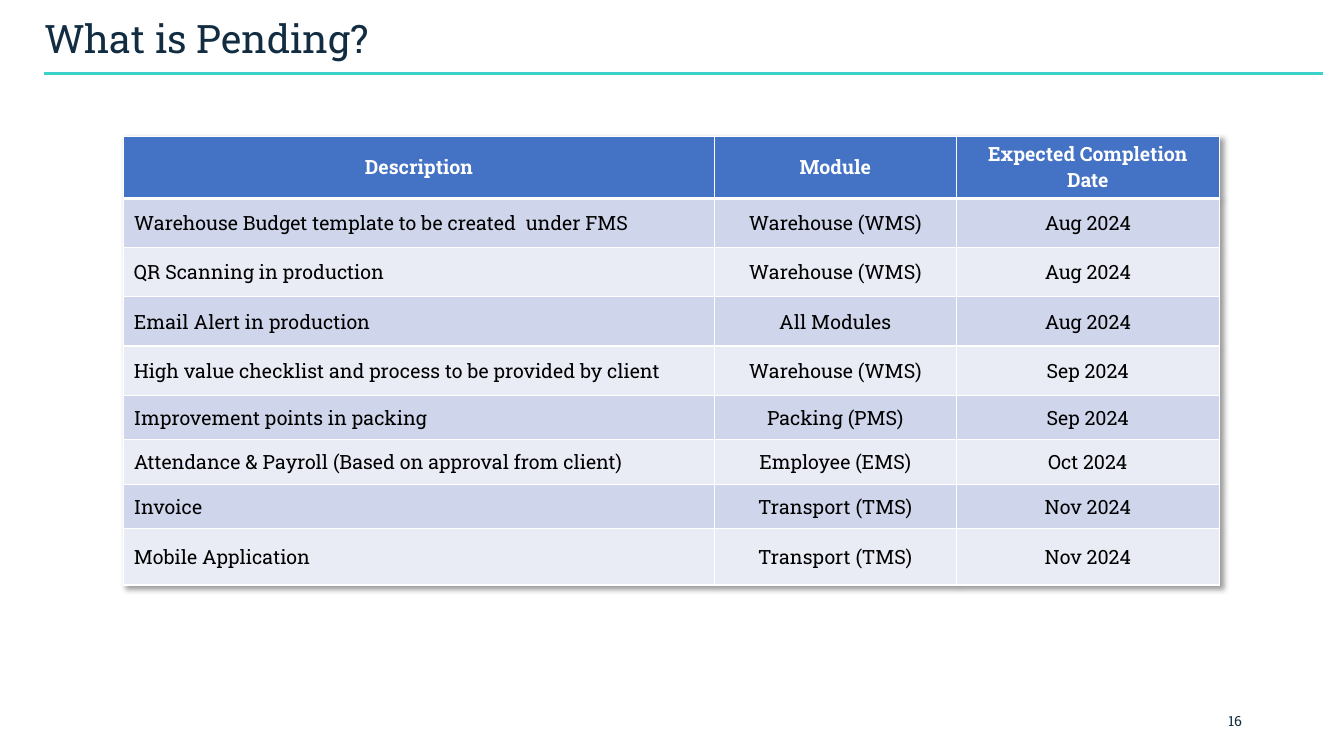
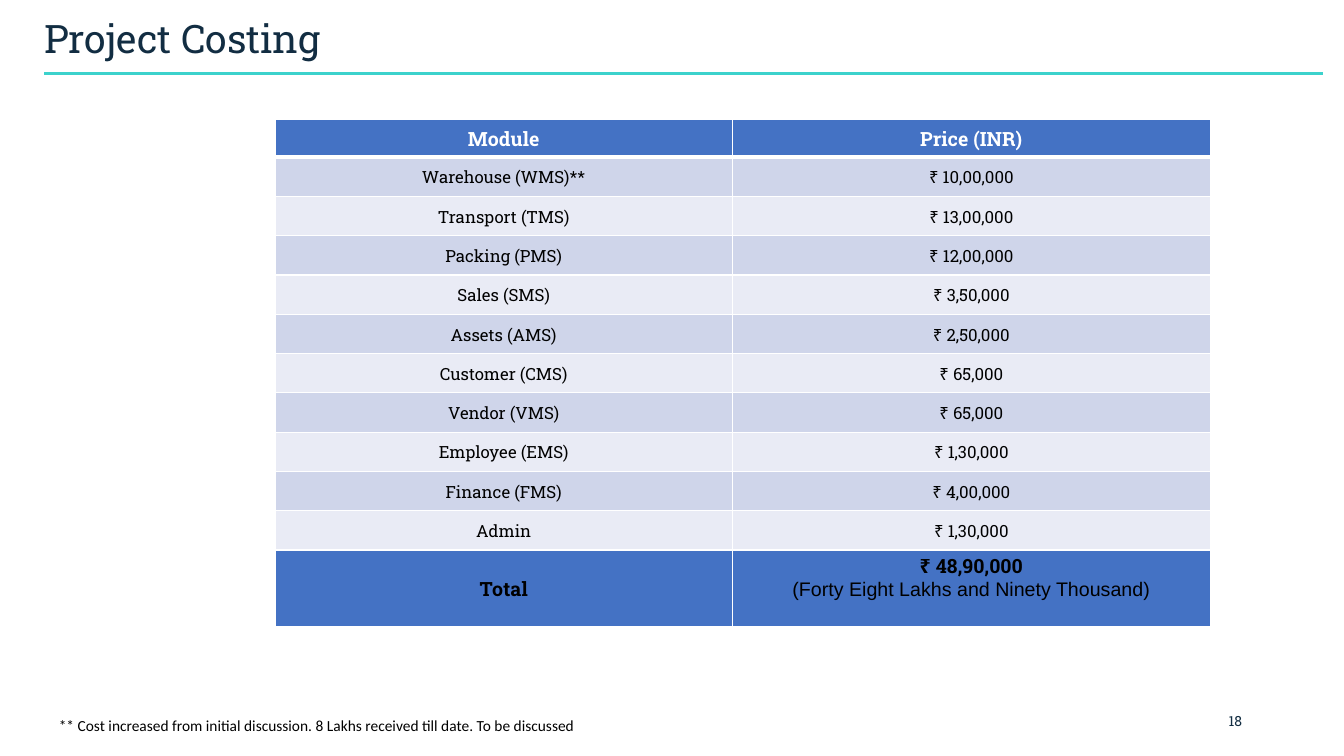
"""Build the pending-work and project-costing slides."""
from dataclasses import dataclass
from typing import Optional

from lxml.etree import SubElement
from pptx import Presentation
from pptx.dml.color import RGBColor
from pptx.enum.shapes import MSO_CONNECTOR
from pptx.enum.text import MSO_ANCHOR as Anchor, PP_ALIGN as Align
from pptx.oxml import parse_xml
from pptx.oxml.ns import nsdecls, qn
from pptx.util import Cm, Pt

SLAB = "Roboto Slab"
NAVY, TEAL, BLUE = "122D42", "3CD2CC", "4472C4"
WHITE, BLACK = "FFFFFF", "000000"
BANDS = ("CFD5EA", "E9EBF5")
THIN, THICK = 1, 3


@dataclass(frozen=True)
class Style:
    size: float
    color: str = BLACK
    bold: bool = False
    font: str = SLAB
    align: Align = Align.CENTER


@dataclass(frozen=True)
class Box:
    left: float
    top: float
    width: float
    height: float


@dataclass(frozen=True)
class Grid:
    left: float
    top: float
    widths: tuple[float, ...]
    heights: tuple[float, ...]
    header: tuple[str, ...]
    rows: tuple[tuple[str, ...], ...]
    body: Style
    first_align: Align = Align.CENTER
    total: Optional[tuple[str, ...]] = None
    inset: Optional[float] = None
    shadow: bool = False


TITLE = Style(28, NAVY, align=Align.LEFT)
NUMBER = Style(10, NAVY, align=Align.RIGHT)
NOTE = Style(11, font="Calibri")
HEADER = Style(14, WHITE, bold=True)
TOTAL = Style(14, bold=True)
IN_WORDS = Style(14, font="Arial")

TITLE_BOX = Box(0.86, 0.23, 23.34, 1.6)
NUMBER_BOX = Box(23.93, 17.65, 7.62, 1.02)
NOTE_BOX = Box(0.77, 17.91, 14.43, 0.74)

PENDING = Grid(
    3.12, 3.43, (14.88, 6.1, 6.63),
    (1.57, *[1.24] * 4, *[1.12] * 3, 1.42),
    ("Description", "Module", "Expected Completion Date"),
    (
        ("Warehouse Budget template to be created  under FMS", "Warehouse (WMS)", "Aug 2024"),
        ("QR Scanning in production", "Warehouse (WMS)", "Aug 2024"),
        ("Email Alert in production", "All Modules", "Aug 2024"),
        ("High value checklist and process to be provided by client", "Warehouse (WMS)", "Sep 2024"),
        ("Improvement points in packing", "Packing (PMS)", "Sep 2024"),
        ("Attendance & Payroll (Based on approval from client)", "Employee (EMS)", "Oct 2024"),
        ("Invoice", "Transport (TMS)", "Nov 2024"),
        ("Mobile Application", "Transport (TMS)", "Nov 2024"),
    ),
    Style(14), first_align=Align.LEFT, shadow=True,
)

COSTING = Grid(
    6.93, 3.02, (11.53, 12.04),
    (0.94, *[0.99] * 10, 1.93),
    ("Module", "Price (INR)"),
    (
        ("Warehouse (WMS)**", "₹ 10,00,000"),
        ("Transport (TMS)", "₹ 13,00,000"),
        ("Packing (PMS)", "₹ 12,00,000"),
        ("Sales (SMS)", "₹ 3,50,000"),
        ("Assets (AMS)", "₹ 2,50,000"),
        ("Customer (CMS)", "₹ 65,000"),
        ("Vendor (VMS)", "₹ 65,000"),
        ("Employee (EMS)", "₹ 1,30,000"),
        ("Finance (FMS)", "₹ 4,00,000"),
        ("Admin", "₹ 1,30,000"),
    ),
    Style(12),
    total=("Total", "₹ 48,90,000\n(Forty Eight Lakhs and Ninety Thousand)"),
    inset=0.03,
)


def rgb(value: str) -> RGBColor:
    return RGBColor.from_string(value)


def style_paragraph(para, style: Style, align: Optional[Align] = None) -> None:
    para.alignment = style.align if align is None else align
    for span in para.runs:
        span.font.name = style.font
        span.font.size = Pt(style.size)
        span.font.bold = style.bold
        span.font.color.rgb = rgb(style.color)


def add_text(page, box: Box, text: str, style: Style, anchor: Anchor = Anchor.MIDDLE):
    shape = page.shapes.add_textbox(Cm(box.left), Cm(box.top), Cm(box.width), Cm(box.height))
    frame = shape.text_frame
    frame.word_wrap = True
    frame.vertical_anchor = anchor
    frame.text = text
    style_paragraph(frame.paragraphs[0], style)
    return frame


def set_borders(cell, top: float, bottom: float) -> None:
    sides = {"L": THIN, "R": THIN, "T": top, "B": bottom}
    for index, (side, width) in enumerate(sides.items()):
        line = parse_xml(
            f'<a:ln{side} {nsdecls("a")} w="{Pt(width)}"><a:solidFill>'
            f'<a:srgbClr val="{WHITE}"/></a:solidFill></a:ln{side}>'
        )
        cell._tc.get_or_add_tcPr().insert(index, line)


def add_shadow(table) -> None:
    effect = parse_xml(
        f'<a:effectLst {nsdecls("a")}><a:outerShdw blurRad="50800" dist="38100" dir="2700000" '
        f'algn="tl" rotWithShape="0"><a:srgbClr val="{BLACK}"><a:alpha val="40000"/>'
        f'</a:srgbClr></a:outerShdw></a:effectLst>'
    )
    table._tbl.tblPr.insert(0, effect)


def fill_cell(cell, text: str, fill: str, style: Style, align: Align, inset: Optional[float]) -> None:
    cell.fill.solid()
    cell.fill.fore_color.rgb = rgb(fill)
    cell.vertical_anchor = Anchor.MIDDLE
    if inset is not None:
        cell.margin_left = cell.margin_right = cell.margin_top = Cm(inset)
        cell.margin_bottom = Cm(0)
    cell.text_frame.text = text
    for para in cell.text_frame.paragraphs:
        style_paragraph(para, style, align)


def add_grid(page, grid: Grid):
    lines = [(grid.header, BLUE, HEADER)]
    lines += [(row, BANDS[index % 2], grid.body) for index, row in enumerate(grid.rows)]
    if grid.total:
        lines.append((grid.total, BLUE, TOTAL))
    frame = page.shapes.add_table(
        len(lines), len(grid.widths), Cm(grid.left), Cm(grid.top),
        Cm(sum(grid.widths)), Cm(sum(grid.heights)),
    )
    table = frame.table
    table.horz_banding = False
    for column, width in zip(table.columns, grid.widths):
        column.width = Cm(width)
    for number, (texts, fill, style) in enumerate(lines):
        table.rows[number].height = Cm(grid.heights[number])
        for place, text in enumerate(texts):
            cell = table.cell(number, place)
            align = grid.first_align if number and place == 0 else Align.CENTER
            fill_cell(cell, text, fill, style, align, grid.inset)
            set_borders(cell, THICK if number == 1 else THIN, THIN if number else THICK)
    if grid.shadow:
        add_shadow(table)
    return table


def add_page(deck, title: str, number: int):
    page = deck.slides.add_slide(deck.slide_layouts[6])
    rule = page.shapes.add_connector(
        MSO_CONNECTOR.STRAIGHT, Cm(1.12), Cm(1.85), Cm(33.35), Cm(1.85)
    )
    rule.line.color.rgb = rgb(TEAL)
    rule.line.width = Pt(2.25)
    SubElement(rule._element.spPr, qn("a:effectLst"))
    add_text(page, TITLE_BOX, title, TITLE).paragraphs[0].line_spacing = 0.9
    add_text(page, NUMBER_BOX, str(number), NUMBER)
    return page


def main() -> None:
    deck = Presentation()
    deck.slide_width, deck.slide_height = Cm(33.87), Cm(19.05)

    add_grid(add_page(deck, "What is Pending?", 16), PENDING)

    page = add_page(deck, "Project Costing", 18)
    table = add_grid(page, COSTING)
    total_price = table.cell(len(COSTING.heights) - 1, 1)
    total_price.margin_bottom = Cm(0.6)
    style_paragraph(total_price.text_frame.paragraphs[1], IN_WORDS)
    note = "** Cost increased from initial discussion. 8 Lakhs received till date. To be discussed"
    add_text(page, NOTE_BOX, note, NOTE, Anchor.TOP)

    deck.save("out.pptx")


if __name__ == "__main__":
    main()
